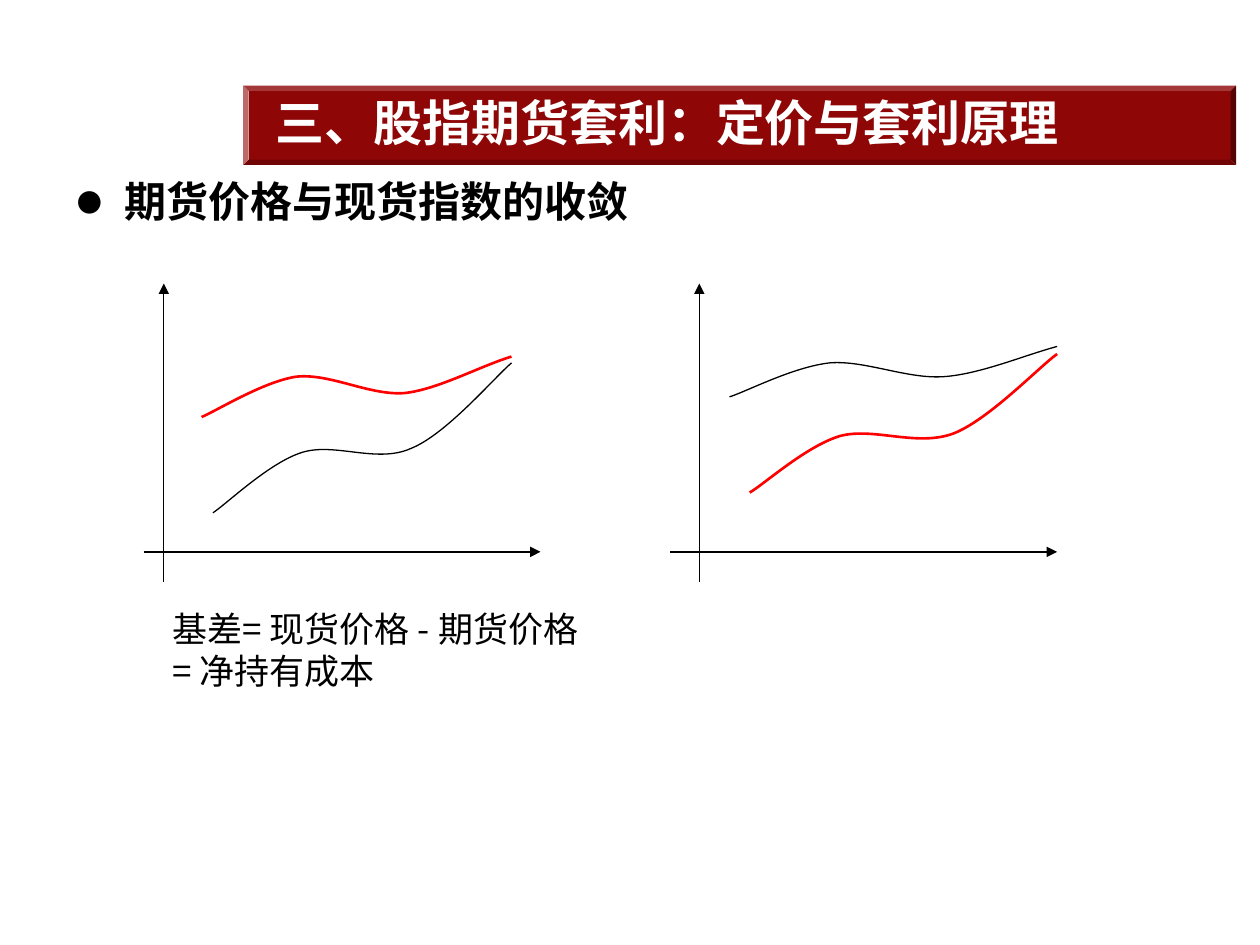
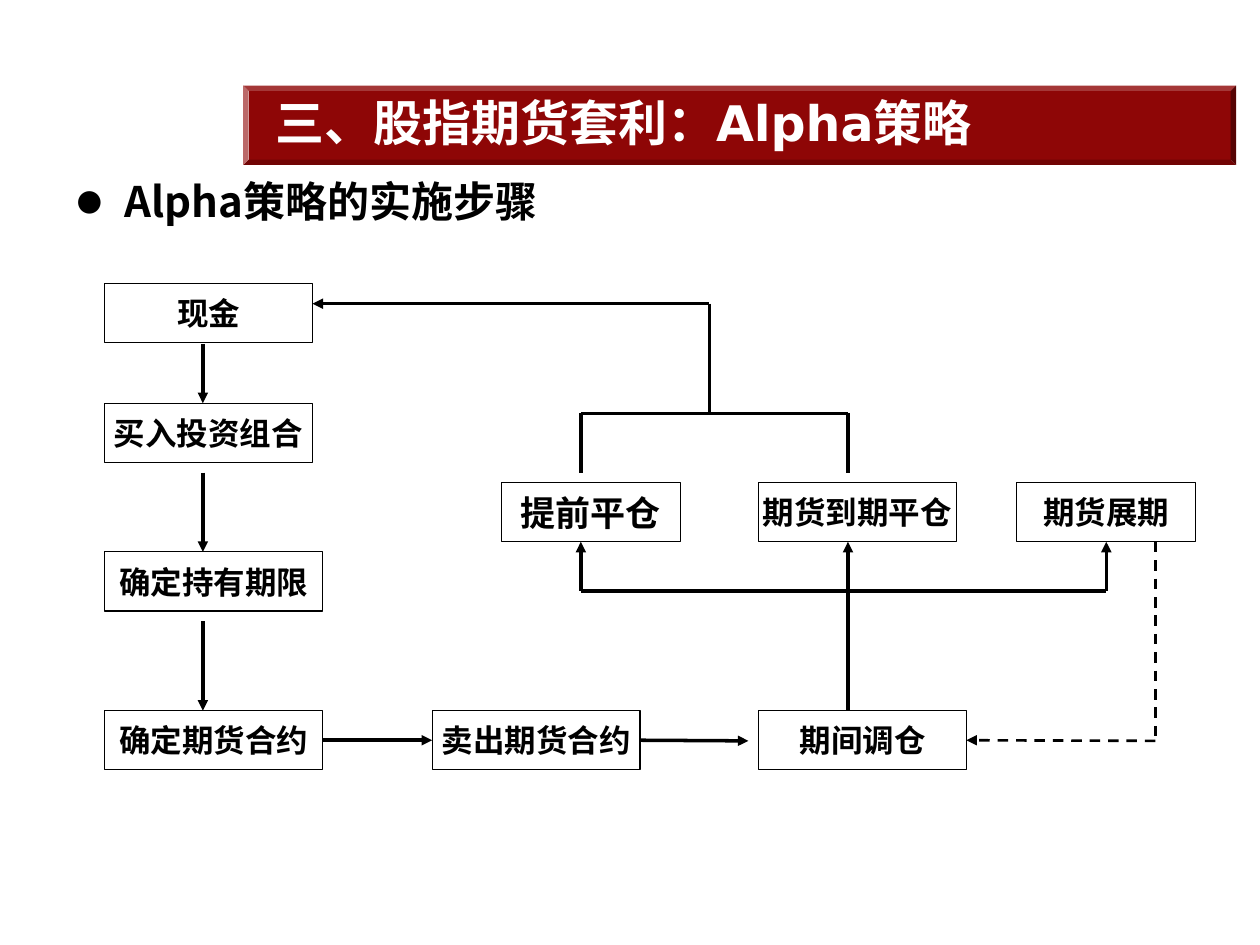
from lxml import etree
from pptx import Presentation
from pptx.dml.color import RGBColor
from pptx.enum.dml import MSO_LINE
from pptx.enum.shapes import MSO_CONNECTOR, MSO_SHAPE
from pptx.enum.text import MSO_ANCHOR, PP_ALIGN
from pptx.oxml.ns import qn
from pptx.util import Inches, Pt

BLACK = RGBColor(0x00, 0x00, 0x00)
WHITE = RGBColor(0xFF, 0xFF, 0xFF)
RED = RGBColor(0xFF, 0x00, 0x00)
BAND = RGBColor(0x8E, 0x06, 0x06)

LATIN, CJK = "DejaVu Sans", "Noto Sans CJK SC"
STRAIGHT = MSO_CONNECTOR.STRAIGHT
RECT, BEVEL = MSO_SHAPE.RECTANGLE, MSO_SHAPE.BEVEL
MIDDLE, CENTER, DASH = MSO_ANCHOR.MIDDLE, PP_ALIGN.CENTER, MSO_LINE.DASH
LEFT_SIDE, BOTTOM_SIDE, RIGHT_SIDE = 1, 2, 3


class Deck:
    """Shared style plus the slide being drawn."""

    def __init__(self):
        self.prs = Presentation()
        self.prs.slide_width = Inches(10)
        self.prs.slide_height = Inches(7.5)
        self.s = None

    def slide(self, title, heading, heading_font=LATIN):
        self.s = self.prs.slides.add_slide(self.prs.slide_layouts[6])
        # Title band
        band = self.shape(BEVEL, 1.93, 0.68, 7.88, 0.63)
        band.adjustments[0] = 0.068
        band.fill.solid()
        band.fill.fore_color.rgb = BAND
        band.line.fill.background()
        tf = self.text(2.09, 0.63, 7.56, 0.67, [title], 28, WHITE)
        tf.vertical_anchor = MIDDLE
        # Bulleted heading
        tf = self.text(0.51, 1.34, 9, 0.6, [heading], 24, font=heading_font)
        self.bullet(tf.paragraphs[0])

    def shape(self, kind, x, y, w, h):
        sp = self.s.shapes.add_shape(kind, Inches(x), Inches(y), Inches(w), Inches(h))
        sp.shadow.inherit = False
        return sp

    def style(self, p, size, color, bold, font):
        for r in p.runs:
            r.font.size, r.font.bold, r.font.name = Pt(size), bold, font
            r.font.color.rgb = color
            latin = r.font._element.find(qn("a:latin"))
            ea = etree.Element(qn("a:ea"), typeface=CJK)
            latin.addnext(ea)

    def text(self, x, y, w, h, lines, size, color=BLACK, bold=True, font=LATIN):
        sp = self.s.shapes.add_textbox(Inches(x), Inches(y), Inches(w), Inches(h))
        tf = sp.text_frame
        tf.word_wrap = True
        tf.text = "\n".join(lines)
        for p in tf.paragraphs:
            self.style(p, size, color, bold, font)
        return tf

    def bullet(self, p):
        pPr = p._p.get_or_add_pPr()
        pPr.set("marL", str(Inches(0.38)))
        pPr.set("indent", str(-Inches(0.38)))
        etree.SubElement(pPr, qn("a:buSzPct"), val="70000")
        etree.SubElement(pPr, qn("a:buFont"), typeface=LATIN)
        etree.SubElement(pPr, qn("a:buChar"), char="●")

    def box(self, label, x, y, w, size=18):
        sp = self.shape(RECT, x, y, w, 0.47)
        sp.fill.background()
        sp.line.color.rgb = BLACK
        sp.line.width = Pt(0.75)
        tf = sp.text_frame
        tf.word_wrap = False
        tf.vertical_anchor = MIDDLE
        tf.text = label
        p = tf.paragraphs[0]
        p.alignment = CENTER
        self.style(p, size, BLACK, True, LATIN)
        return sp

    def line(self, x1, y1, x2, y2, width=2.0, arrow=True, dash=False,
             begin=None, end=None):
        c = self.s.shapes.add_connector(
            STRAIGHT, Inches(x1), Inches(y1), Inches(x2), Inches(y2))
        if begin:
            c.begin_connect(*begin)
        if end:
            c.end_connect(*end)
        c.line.color.rgb = BLACK
        c.line.width = Pt(width)
        if dash:
            c.line.dash_style = DASH
        if arrow:
            etree.SubElement(c.line._get_or_add_ln(), qn("a:tailEnd"), type="triangle")
        etree.SubElement(c._element.spPr, qn("a:effectLst"))

    def curve(self, points, color, width):
        """Bezier curve: a start point, then two controls and an end per part."""
        start, *rest = [(Inches(x), Inches(y)) for x, y in points]
        builder = self.s.shapes.build_freeform(*start)
        builder.add_line_segments(rest, close=False)
        sp = builder.convert_to_shape()
        sp.shadow.inherit = False
        sp.fill.background()
        sp.line.color.rgb = color
        sp.line.width = Pt(width)
        # Merge every three straight segments into one cubic
        segments = list(sp._element.iter(qn("a:lnTo")))
        for i in range(0, len(segments), 3):
            cubic = etree.Element(qn("a:cubicBezTo"))
            segments[i].addprevious(cubic)
            for seg in segments[i:i + 3]:
                cubic.append(seg[0])
                seg.getparent().remove(seg)


def convergence_slide(d):
    d.slide("三、股指期货套利：定价与套利原理", "期货价格与现货指数的收敛")
    d.text(1.27, 4.77, 5, 0.95, ["基差= 现货价格 - 期货价格", "= 净持有成本"],
           20, bold=False, font=CJK)

    # Axes of both graphs
    for left, right, origin in [(1.14, 4.29, 1.3), (5.32, 8.39, 5.55)]:
        d.line(left, 4.38, right, 4.38, 0.75)
        d.line(origin, 4.62, origin, 2.25, 0.75)

    # Price curves
    d.curve([(1.6, 3.31), (1.72, 3.26), (2.09, 3.03), (2.35, 2.99),
             (2.62, 2.96), (2.93, 3.14), (3.21, 3.12),
             (3.48, 3.09), (3.8, 2.91), (4.06, 2.83)], RED, 1.5)
    d.curve([(1.69, 4.07), (1.81, 3.99), (2.14, 3.67), (2.4, 3.59),
             (2.66, 3.51), (2.99, 3.68), (3.26, 3.56),
             (3.54, 3.45), (3.92, 3), (4.06, 2.88)], BLACK, 0.75)
    d.curve([(5.79, 3.15), (5.92, 3.11), (6.3, 2.91), (6.59, 2.88),
             (6.87, 2.86), (7.2, 3.01), (7.49, 2.99),
             (7.78, 2.97), (8.13, 2.82), (8.39, 2.75)], BLACK, 0.75)
    d.curve([(5.95, 3.91), (6.07, 3.84), (6.4, 3.54), (6.67, 3.46),
             (6.94, 3.39), (7.28, 3.55), (7.57, 3.44),
             (7.85, 3.33), (8.25, 2.91), (8.39, 2.81)], RED, 1.5)


def alpha_slide(d):
    d.slide("三、股指期货套利：Alpha策略", "Alpha策略的实施步骤", CJK)

    # Steps
    base, exits = 5.64, 3.83
    d.box("现金", 0.83, 2.25, 1.65)
    d.box("买入投资组合", 0.83, 3.2, 1.65)
    d.box("确定持有期限", 0.83, 4.38, 1.73)
    contract = d.box("确定期货合约", 0.83, base, 1.73)
    sell = d.box("卖出期货合约", 3.43, base, 1.65)
    adjust = d.box("期间调仓", 6.02, base, 1.65)
    d.box("提前平仓", 3.98, exits, 1.42, 20)
    d.box("期货到期平仓", 6.02, exits, 1.57)
    rollover = d.box("期货展期", 8.07, exits, 1.42)

    # Down the first column, then along the bottom row
    for top, bottom in [(2.73, 3.2), (3.75, 4.38), (4.93, base)]:
        d.line(1.61, top, 1.61, bottom)
    mid = 5.88
    d.line(2.56, mid, 3.43, mid, begin=(contract, RIGHT_SIDE), end=(sell, LEFT_SIDE))
    d.line(5.08, mid, 5.94, mid, begin=(sell, RIGHT_SIDE))

    # Fork up to the three exits
    early, expiry, roll, fork = 4.61, 6.73, 8.78, 4.69
    d.line(early, fork, early, 4.3)
    d.line(expiry, base, expiry, 4.3)
    d.line(roll, fork, roll, 4.3, end=(rollover, BOTTOM_SIDE))
    d.line(early, fork, roll, fork, arrow=False)

    # Closed positions return to cash
    join, back, centre = 3.28, 2.41, 5.63
    for x in (early, expiry):
        d.line(x, join, x, 3.75, arrow=False)
    d.line(early, join, expiry, join, arrow=False)
    d.line(centre, back, centre, join, arrow=False)
    d.line(centre, back, 2.48, back)

    # Rollover returns to adjustment
    d.line(9.17, 4.3, 9.17, mid, 1.5, arrow=False, dash=True)
    d.line(9.17, mid, 7.67, mid, 1.5, dash=True, end=(adjust, RIGHT_SIDE))


def main():
    d = Deck()
    convergence_slide(d)
    alpha_slide(d)
    d.prs.save("out.pptx")


if __name__ == "__main__":
    main()
